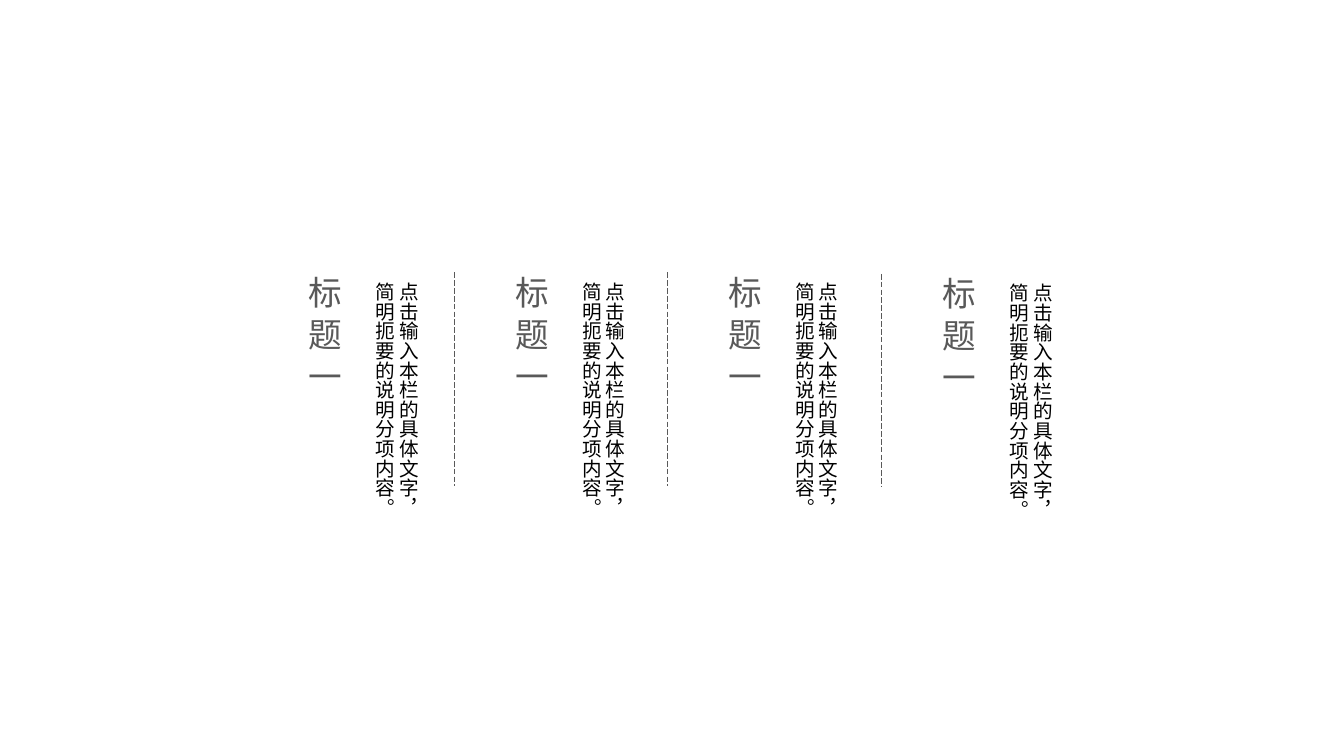
"""Build a slide of four vertical text columns parted by dashed lines."""
from lxml import etree
from pptx import Presentation
from pptx.dml.color import RGBColor
from pptx.enum.dml import MSO_LINE_DASH_STYLE as Dash
from pptx.enum.shapes import MSO_CONNECTOR as Connector
from pptx.enum.text import MSO_AUTO_SIZE as AutoSize, PP_ALIGN as Align
from pptx.oxml import parse_xml
from pptx.oxml.ns import nsdecls, qn
from pptx.util import Cm, Pt

FONT = "Noto Sans CJK SC"
GREY = "595959"
TEXT_SHADOW = (
    f'<a:effectLst {nsdecls("a")}><a:outerShdw blurRad="38100" dist="38100" '
    'dir="2700000" algn="tl"><a:srgbClr val="000000"><a:alpha val="43000"/>'
    '</a:srgbClr></a:outerShdw></a:effectLst>'
)


def color(value):
    return RGBColor.from_string(value)


def add_vertical_text(text, left, top, width, height, size, fill="000000",
                      align=None, bottom=0.13, spacing=None, shadow=False):
    shape = slide.shapes.add_textbox(Cm(left), Cm(top), Cm(width), Cm(height))
    frame = shape.text_frame
    frame.word_wrap = True
    frame.auto_size = AutoSize.SHAPE_TO_FIT_TEXT
    frame.margin_bottom = Cm(bottom)
    frame._txBody.bodyPr.set("vert", "eaVert")
    paragraph = frame.paragraphs[0]
    paragraph.alignment = align
    run = paragraph.add_run()
    run.text = text
    run.font.size = Pt(size)
    run.font.color.rgb = color(fill)
    run.font.name = FONT
    properties = run.font._element
    if spacing:
        properties.set("spc", str(spacing * 100))
    if shadow:
        properties.find(qn("a:solidFill")).addnext(parse_xml(TEXT_SHADOW))
    east_asian = etree.Element(qn("a:ea"), typeface=FONT)
    properties.find(qn("a:latin")).addnext(east_asian)


presentation = Presentation()
presentation.slide_width = Cm(33.87)
presentation.slide_height = Cm(19.05)
slide = presentation.slides.add_slide(presentation.slide_layouts[6])

columns = [(7.26, 6.7), (12.47, 6.7), (17.83, 6.7), (23.24, 6.74)]
for index, (left, top) in enumerate(columns):
    body_top = top + 0.16
    add_vertical_text("点击输入本栏的具体文字，简明扼要的说明分项内容。",
                      left + 1.75, body_top, 1.7, 6.15, 14)
    add_vertical_text("标题一", left, top, 1.55, 4.34, 24, fill=GREY,
                      align=Align.CENTER, bottom=0.9, spacing=6, shadow=True)
    if index:
        x = Cm(left - 1.02)
        divider = slide.shapes.add_connector(
            Connector.STRAIGHT, x, Cm(body_top), x, Cm(body_top + 5.38))
        divider.line.color.rgb = color(GREY)
        divider.line.width = Pt(0.5)
        divider.line.dash_style = Dash.LONG_DASH
        etree.SubElement(divider._element.spPr, qn("a:effectLst"))

presentation.save("out.pptx")
